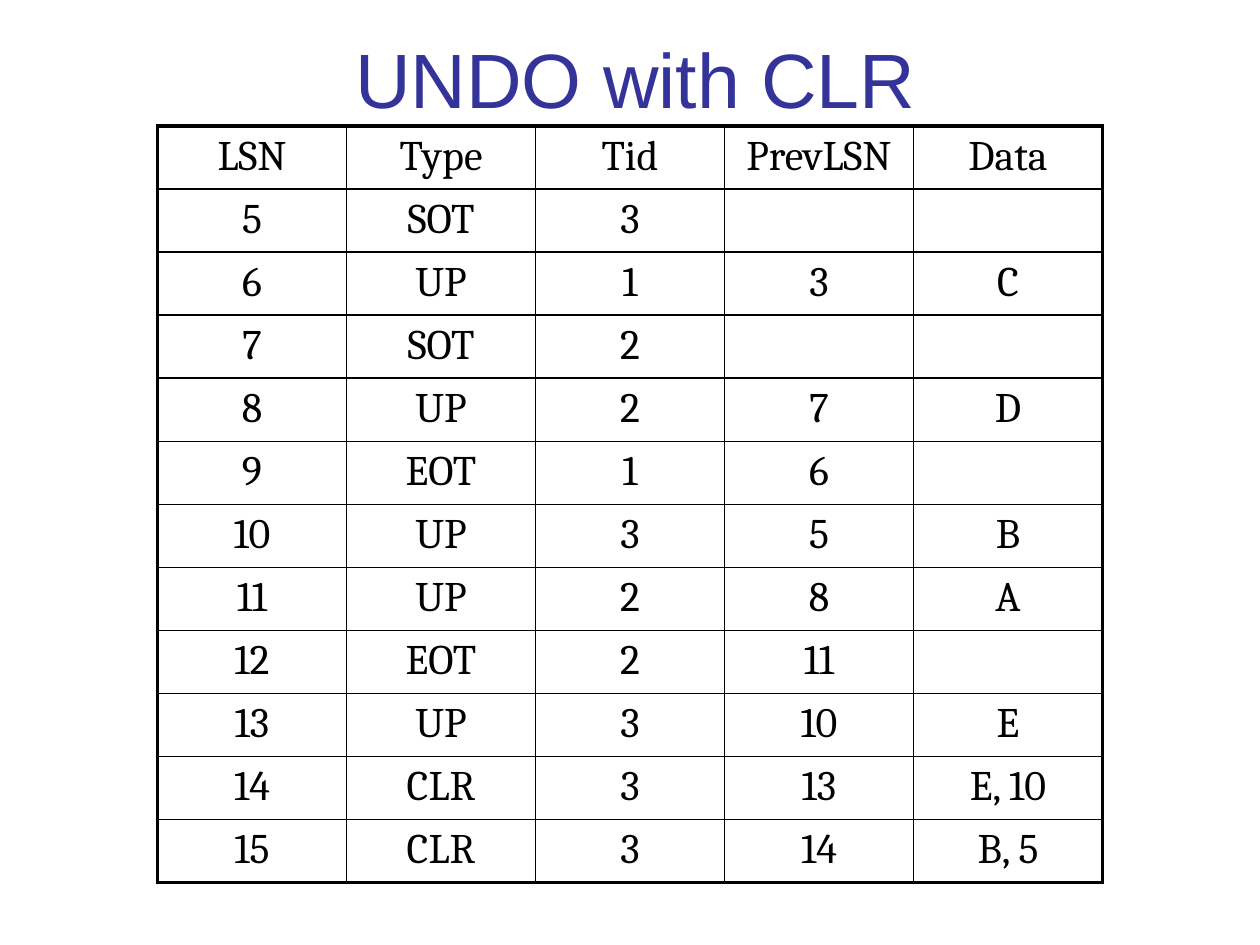
from typing import NamedTuple

from lxml.etree import SubElement
from pptx import Presentation
from pptx.dml.color import RGBColor
from pptx.enum.text import MSO_ANCHOR, PP_ALIGN
from pptx.oxml.ns import qn
from pptx.util import Inches, Pt

BLACK, WHITE, INDIGO = "000000", "FFFFFF", "333399"
OUTER, INNER = Pt(2.25), Pt(1)
COL_WIDTH, ROW_HEIGHT = Inches(1.5), Inches(0.48)


class LogRecord(NamedTuple):
    lsn: str
    type: str
    tid: str
    prev_lsn: str = ""
    data: str = ""


LOG = [
    LogRecord("LSN", "Type", "Tid", "PrevLSN", "Data"),
    LogRecord("5", "SOT", "3"),
    LogRecord("6", "UP", "1", "3", "C"),
    LogRecord("7", "SOT", "2"),
    LogRecord("8", "UP", "2", "7", "D"),
    LogRecord("9", "EOT", "1", "6"),
    LogRecord("10", "UP", "3", "5", "B"),
    LogRecord("11", "UP", "2", "8", "A"),
    LogRecord("12", "EOT", "2", "11"),
    LogRecord("13", "UP", "3", "10", "E"),
    LogRecord("14", "CLR", "3", "13", "E, 10"),
    LogRecord("15", "CLR", "3", "14", "B, 5"),
]


def rgb(color: str) -> RGBColor:
    return RGBColor.from_string(color)


def write(p, text: str, size: int, font: str, color: str) -> None:
    p.text = text
    p.alignment = PP_ALIGN.CENTER
    p.font.size = Pt(size)
    p.font.name = font
    p.font.color.rgb = rgb(color)


def set_border(cell, side: str, width: int) -> None:
    """Draw one cell edge; side is L, R, T or B."""
    ln = SubElement(cell._tc.get_or_add_tcPr(), qn(f"a:ln{side}"), w=str(int(width)))
    fill = SubElement(ln, qn("a:solidFill"))
    SubElement(fill, qn("a:srgbClr"), val=BLACK)


def add_title(slide, text: str) -> None:
    sp = slide.shapes.add_textbox(Inches(0.42), Inches(0.08), Inches(9.25), Inches(1.08))
    tf = sp.text_frame
    tf.word_wrap = True
    tf.vertical_anchor = MSO_ANCHOR.MIDDLE
    write(tf.paragraphs[0], text, 44, "Arial", INDIGO)


def add_log_table(slide, records: list[LogRecord]) -> None:
    n_rows, n_cols = len(records), len(LogRecord._fields)
    table = slide.shapes.add_table(
        n_rows, n_cols, Inches(1.25), Inches(1),
        COL_WIDTH * n_cols, ROW_HEIGHT * n_rows,
    ).table
    table.first_row = table.horz_banding = False
    for column in table.columns:
        column.width = COL_WIDTH
    for row, record in enumerate(records):
        table.rows[row].height = ROW_HEIGHT
        for col, text in enumerate(record):
            cell = table.cell(row, col)
            edges = {"L": col == 0, "R": col == n_cols - 1,
                     "T": row == 0, "B": row == n_rows - 1}
            for side, is_outer in edges.items():
                set_border(cell, side, OUTER if is_outer else INNER)
            cell.fill.solid()
            cell.fill.fore_color.rgb = rgb(WHITE)
            write(cell.text_frame.paragraphs[0], text, 24, "Cambria", BLACK)


def main() -> None:
    prs = Presentation()
    prs.slide_width, prs.slide_height = Inches(10), Inches(7.5)
    slide = prs.slides.add_slide(prs.slide_layouts[6])
    add_title(slide, "UNDO with CLR")
    add_log_table(slide, LOG)
    prs.save("out.pptx")


if __name__ == "__main__":
    main()
